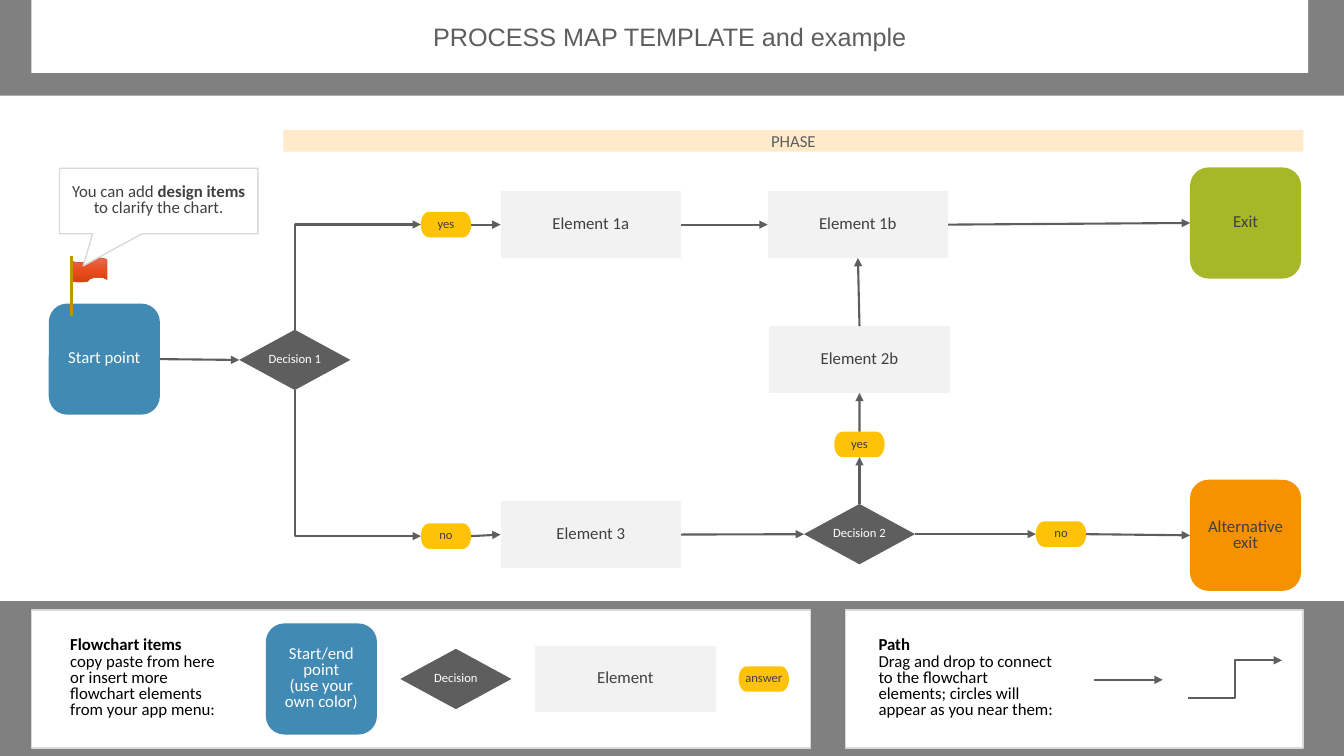
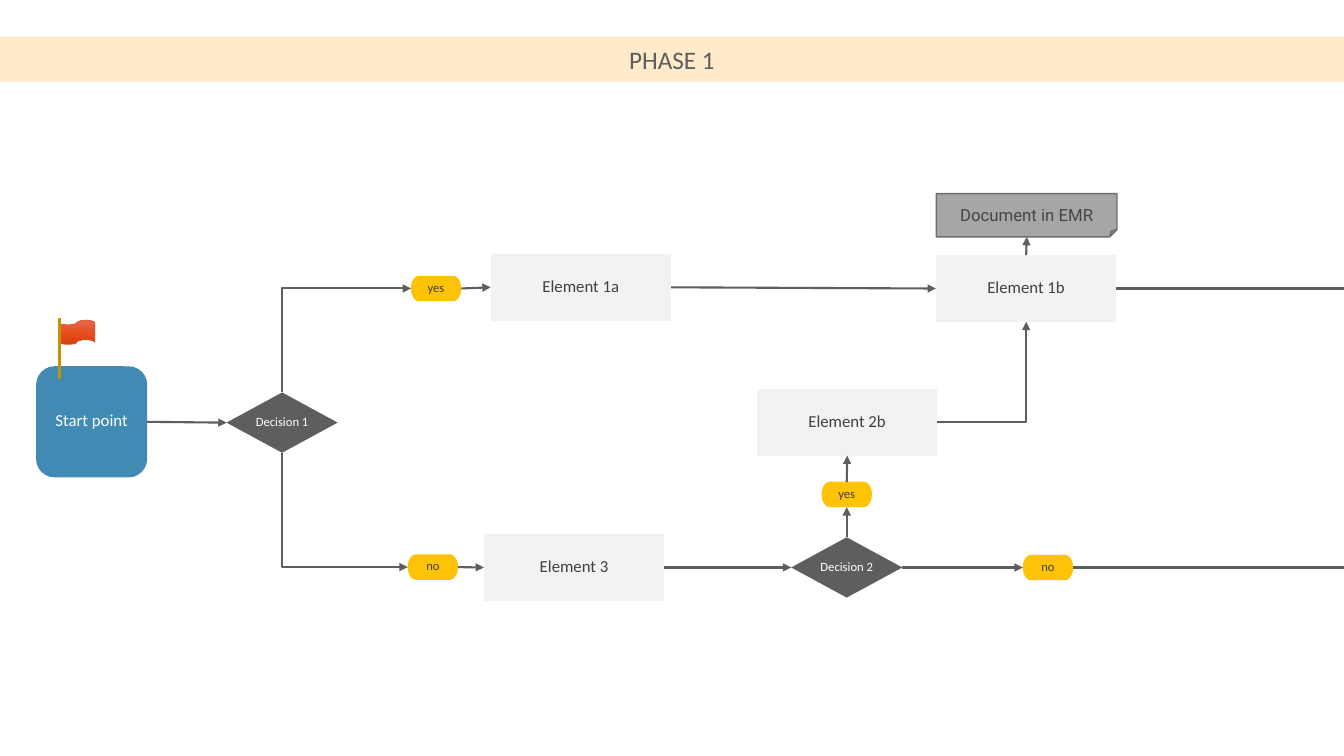
from copy import deepcopy

from lxml.etree import SubElement
from pptx import Presentation
from pptx.dml.color import RGBColor
from pptx.enum.shapes import MSO_CONNECTOR, MSO_SHAPE
from pptx.enum.text import MSO_ANCHOR, PP_ALIGN
from pptx.oxml.ns import qn
from pptx.util import Cm, Pt

# Shared look
WIDTH, HEIGHT = 33.87, 19.05
WHITE, GREY, DARK, TEXT = "FFFFFF", "808080", "5E5E5E", "404040"
BLUE, GREEN, ORANGE, YELLOW = "418AB3", "A6B727", "F69200", "FEC306"
PALE, PEACH, BORDER = "F2F2F2", "FFEACA", "D9D9D9"
TOP, LEFT, BOTTOM, RIGHT = range(4)  # connection sites

# Flowchart items: preset, width, height, fill, text colour, size, side inset
ITEMS = {
    "end": (MSO_SHAPE.FLOWCHART_ALTERNATE_PROCESS, 2.8, 2.8, BLUE, WHITE, 12, 0.13),
    "decision": (MSO_SHAPE.FLOWCHART_DECISION, 2.8, 1.52, DARK, WHITE, 9, 0),
    "element": (MSO_SHAPE.FLOWCHART_PROCESS, 4.55, 1.68, PALE, TEXT, 12, 0.13),
    "answer": (MSO_SHAPE.FLOWCHART_TERMINATOR, 1.27, 0.64, YELLOW, TEXT, 9, 0),
}


def rgb(value):
    return RGBColor.from_string(value)


def apply(target, formats):
    for name, value in formats.items():
        setattr(target, name, value)


def paint(sp, fill, line=None, width=1):
    sp.fill.solid()
    sp.fill.fore_color.rgb = rgb(fill)
    outline(sp, line, width)


def outline(sp, line, width):
    if line:
        sp.line.color.rgb = rgb(line)
        sp.line.width = Pt(width)
    else:
        sp.line.fill.background()


def write(sp, paragraphs, color=TEXT, size=12, font="Calibri", spacing=0.8,
          align=PP_ALIGN.CENTER, anchor=MSO_ANCHOR.MIDDLE, insets=(0.25, 0.13, 0.25, 0.13)):
    """Each paragraph is a list of (text, bold) runs."""
    tf = sp.text_frame
    sides = ("margin_left", "margin_top", "margin_right", "margin_bottom")
    apply(tf, dict(zip(sides, map(Cm, insets)), word_wrap=True, vertical_anchor=anchor))
    for i, runs in enumerate(paragraphs):
        p = tf.add_paragraph() if i else tf.paragraphs[0]
        apply(p, {"alignment": align, "line_spacing": spacing})
        for text, bold in runs:
            r = p.add_run()
            r.text = text
            apply(r.font, {"name": font, "size": Pt(size), "bold": bold})
            r.font.color.rgb = rgb(color)


def plain(*lines):
    return [[(line, False)] for line in lines]


def box(s, x, y, w, h, fill, line=None, preset=MSO_SHAPE.RECTANGLE):
    sp = s.shapes.add_shape(preset, Cm(x), Cm(y), Cm(w), Cm(h))
    sp.shadow.inherit = False
    paint(sp, fill, line)
    return sp


def item(s, kind, cx, cy, *lines, fill=None, color=None):
    """Flowchart item centred on a point."""
    preset, w, h, base_fill, base_color, size, inset = ITEMS[kind]
    sp = box(s, cx - w / 2, cy - h / 2, w, h, fill or base_fill, preset=preset)
    write(sp, plain(*lines), color or base_color, size, insets=(inset, 0.13, inset, 0.13))
    return sp


def connector(shapes, start, end, kind=MSO_CONNECTOR.STRAIGHT, color=DARK, width=1.5):
    c = shapes.add_connector(kind, *map(Cm, start + end))
    outline(c, color, width)
    SubElement(c._element.spPr, qn("a:effectLst"))
    return c


def arrowhead(c):
    SubElement(c._element.spPr.find(qn("a:ln")), qn("a:tailEnd"), type="triangle")


def link(s, a, a_site, b, b_site, kind=MSO_CONNECTOR.STRAIGHT):
    c = connector(s.shapes, (0, 0), (1, 1), kind)
    c.begin_connect(a, a_site)
    c.end_connect(b, b_site)
    arrowhead(c)
    return c


def corner(s, a, a_site, b, b_site):
    """Arrow with one right-angled bend."""
    c = link(s, a, a_site, b, b_site, MSO_CONNECTOR.ELBOW)
    c._element.spPr.find(qn("a:prstGeom")).set("prst", "bentConnector2")
    if a_site in (TOP, BOTTOM):  # leaves vertically: turn the preset
        x, y, w, h = c.left, c.top, c.width, c.height
        apply(c, {"left": x + (w - h) // 2, "top": y + (h - w) // 2, "width": h, "height": w})
        xfrm = c._element.spPr.find(qn("a:xfrm"))
        xfrm.set("rot", "5400000" if a_site == TOP else "16200000")
        xfrm.set("flipH", "1")
        xfrm.set("flipV", "1" if a_site == TOP else "0")


def to_edge(s, a):
    c = connector(s.shapes, (0, 0), (WIDTH, 0))
    c.begin_connect(a, RIGHT)
    c.end_y = c.begin_y


def chain(s, *items):
    for a, b in zip(items, items[1:]):
        link(s, a, RIGHT, b, LEFT)


def climb(s, *items):
    for a, b in zip(items, items[1:]):
        link(s, a, TOP, b, BOTTOM)


def flag(s, x, y):
    shapes = s.shapes.add_group_shape().shapes
    sp = shapes.add_shape(MSO_SHAPE.FLOWCHART_PUNCHED_TAPE, Cm(x), Cm(y + 0.05), Cm(0.9), Cm(0.61))
    sp.shadow.inherit = False
    sp.fill.gradient()
    sp.fill.gradient_angle = 270
    first = sp.fill._xPr.find(qn("a:gradFill")).find(qn("a:gsLst"))[0]
    first.addnext(deepcopy(first))
    for stop, position, color in zip(sp.fill.gradient_stops, (0, 0.5, 1),
                                     ("E46B52", "E84E1E", "D94010")):
        stop.position = position
        stop.color.rgb = rgb(color)
    outline(sp, "DF5327", 0.5)
    connector(shapes, (x, y), (x, y + 1.52), color="C29401", width=2.25)


def new_slide(prs, background, title, place, fill, font):
    s = prs.slides.add_slide(prs.slide_layouts[5])
    s.background.fill.solid()
    s.background.fill.fore_color.rgb = rgb(background)
    sp = s.shapes.title
    apply(sp, dict(zip(("left", "top", "width", "height"), map(Cm, place))))
    paint(sp, fill)
    write(sp, plain(title), DARK, 18, font, 1)
    return s


def note(s, x, y, w, heading, text):
    sp = s.shapes.add_textbox(Cm(x), Cm(y), Cm(w), Cm(2.3))
    write(sp, [[(heading, True)], [(text, False)]], "000000",
          align=PP_ALIGN.LEFT, anchor=MSO_ANCHOR.TOP)


def legend(s):
    box(s, 0.79, 15.37, 19.63, 3.48, WHITE, BORDER)
    note(s, 1.52, 15.95, 4.55, "Flowchart items",
         "copy paste from here or insert more flowchart elements from your app menu:")
    for kind, cx, *lines in (("end", 8.1, "Start/end point", "(use your own color)"),
                             ("decision", 11.49, "Decision"),
                             ("element", 15.76, "Element"),
                             ("answer", 19.25, "answer")):
        item(s, kind, cx, 17.11, *lines)
    box(s, 21.31, 15.37, 11.53, 3.48, WHITE, BORDER)
    note(s, 21.89, 15.95, 4.98, "Path",
         "Drag and drop to connect to the flowchart elements; "
         "circles will appear as you near them:")
    arrowhead(connector(s.shapes, (27.58, 17.13), (29.3, 17.13)))
    arrowhead(connector(s.shapes, (29.95, 17.58), (32.31, 16.64), MSO_CONNECTOR.ELBOW))


def flow(s, spots):
    """Items and arrows that both maps share; spots gives the centres."""
    labels = {"start": ("end", "Start point"),
              "d1": ("decision", "Decision 1"), "d2": ("decision", "Decision 2"),
              "yes1": ("answer", "yes"), "yes2": ("answer", "yes"),
              "no1": ("answer", "no"), "no2": ("answer", "no"),
              "e1a": ("element", "Element 1a"), "e1b": ("element", "Element 1b"),
              "e2b": ("element", "Element 2b"), "e3": ("element", "Element 3")}
    n = {key: item(s, kind, *spots[key], text) for key, (kind, text) in labels.items()}
    chain(s, n["start"], n["d1"])
    corner(s, n["d1"], TOP, n["yes1"], LEFT)
    corner(s, n["d1"], BOTTOM, n["no1"], LEFT)
    chain(s, n["yes1"], n["e1a"], n["e1b"])
    chain(s, n["no1"], n["e3"], n["d2"], n["no2"])
    climb(s, n["d2"], n["yes2"], n["e2b"])
    return n


def template_slide(prs):
    s = new_slide(prs, GREY, "PROCESS MAP TEMPLATE and example",
                  (0.79, 0, 32.18, 1.84), WHITE, "Arial")
    box(s, 0, 2.41, WIDTH, 12.73, WHITE)
    write(box(s, 7.14, 3.28, 25.71, 0.54, PEACH), plain("PHASE"), DARK, spacing=1)
    n = flow(s, {"start": (2.63, 9.05), "d1": (7.43, 9.07),
                 "yes1": (11.24, 5.66), "e1a": (14.89, 5.66), "e1b": (21.62, 5.66),
                 "no1": (11.24, 13.51), "e3": (14.89, 13.47), "d2": (21.66, 13.46),
                 "no2": (26.74, 13.46), "yes2": (21.66, 11.2), "e2b": (21.66, 9.06)})
    leave = item(s, "end", 31.39, 5.62, "Exit", fill=GREEN, color=TEXT)
    other = item(s, "end", 31.39, 13.49, "Alternative exit", fill=ORANGE, color=TEXT)
    chain(s, n["e1b"], leave)
    chain(s, n["no2"], other)
    climb(s, n["e2b"], n["e1b"])
    legend(s)
    flag(s, 1.8, 6.45)
    # Hint callout
    sp = box(s, 1.5, 4.24, 5, 1.65, WHITE, BORDER, MSO_SHAPE.RECTANGULAR_CALLOUT)
    sp.adjustments[0], sp.adjustments[1] = -0.38, 0.99
    write(sp, [[("You can add ", False), ("design items", True),
                (" to clarify the chart.", False)]])


def phase_slide(prs):
    s = new_slide(prs, WHITE, "PHASE 1", (0, 0.92, WIDTH, 1.14), PEACH, "Calibri")
    n = flow(s, {"start": (2.31, 10.63), "d1": (7.11, 10.65),
                 "yes1": (10.99, 7.27), "e1a": (14.64, 7.24), "e1b": (25.86, 7.27),
                 "no1": (10.91, 14.29), "e3": (14.47, 14.3), "d2": (21.34, 14.3),
                 "no2": (26.41, 14.3), "yes2": (21.34, 12.46), "e2b": (21.35, 10.64)})
    corner(s, n["e2b"], RIGHT, n["e1b"], BOTTOM)
    to_edge(s, n["e1b"])
    to_edge(s, n["no2"])
    flag(s, 1.49, 8.02)
    # Record note above Element 1b
    sp = box(s, 23.6, 4.88, 4.55, 1.09, "A6A6A6", "6E6E6E", MSO_SHAPE.FOLDED_CORNER)
    write(sp, plain("Document in EMR"), "444746", font="Roboto", insets=(0.13, 0.25, 0.13, 0))
    climb(s, n["e1b"], sp)


def main():
    prs = Presentation()
    apply(prs, {"slide_width": Cm(WIDTH), "slide_height": Cm(HEIGHT)})
    template_slide(prs)
    phase_slide(prs)
    prs.save("out.pptx")


if __name__ == "__main__":
    main()
